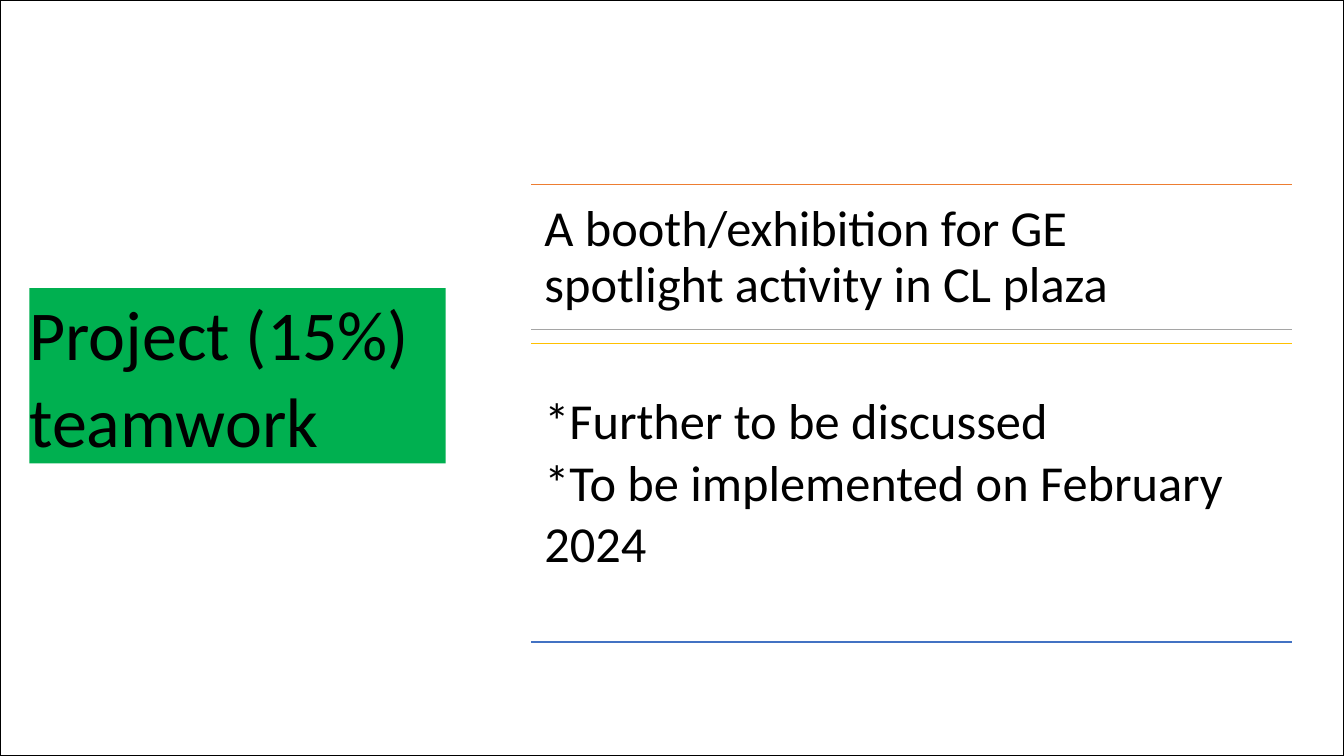
"""Build the project teamwork slide."""
from lxml import etree
from pptx import Presentation
from pptx.dml.color import RGBColor
from pptx.enum.shapes import MSO_CONNECTOR, MSO_SHAPE
from pptx.enum.text import MSO_ANCHOR, PP_ALIGN
from pptx.oxml.ns import qn
from pptx.util import Cm, Pt

STRAIGHT = MSO_CONNECTOR.STRAIGHT
RECTANGLE = MSO_SHAPE.RECTANGLE
TOP = MSO_ANCHOR.TOP
LEFT = PP_ALIGN.LEFT

BLACK = RGBColor(0x00, 0x00, 0x00)
GREEN = RGBColor(0x00, 0xB0, 0x50)
ORANGE = RGBColor(0xED, 0x7D, 0x31)
GRAY = RGBColor(0xA5, 0xA5, 0xA5)
GOLD = RGBColor(0xFF, 0xC0, 0x00)
BLUE = RGBColor(0x43, 0x72, 0xC3)

PAGE_WIDTH, PAGE_HEIGHT = Cm(33.87), Cm(19.05)
TEXT_INDENT = Cm(0.33)


def apply_format(target, values):
    """Set each named attribute on the target."""
    for name, value in values.items():
        setattr(target, name, value)


def write_text(box, lines, size, inset, gap, spacing=None):
    """Write left-aligned paragraphs from the top of a box."""
    frame = box.text_frame
    apply_format(frame, {
        "word_wrap": True, "vertical_anchor": TOP, "margin_left": 0,
        "margin_right": 0, "margin_top": inset, "margin_bottom": 0,
    })
    for index, line in enumerate(lines):
        para = frame.add_paragraph() if index else frame.paragraphs[0]
        span = para.add_run()
        span.text = line
        apply_format(para, {
            "alignment": LEFT, "line_spacing": spacing,
            "space_before": gap if index else Pt(0),
        })
        apply_format(span.font, {"name": "Calibri", "size": size})
        span.font.color.rgb = BLACK


def add_rule(page, left, top, width, color):
    """Draw a thin horizontal line without a shadow."""
    rule = page.shapes.add_connector(STRAIGHT, left, top, left + width, top)
    rule.line.color.rgb = color
    rule.line.width = Pt(1)
    etree.SubElement(rule._element.spPr, qn("a:effectLst"))


def add_label(page, left, top, width, height):
    """Place the green project label."""
    label = page.shapes.add_shape(RECTANGLE, left, top, width, height)
    label.shadow.inherit = False
    label.fill.solid()
    label.fill.fore_color.rgb = GREEN
    label.line.fill.background()
    write_text(label, ["Project (15%)", "teamwork"],
               Pt(50), Cm(0.28), Pt(7.8), Pt(54))


def add_activity(page, left, top, width, height):
    """Place the activity heading between two lines."""
    add_rule(page, left, top, width, ORANGE)
    heading = page.shapes.add_textbox(
        left + TEXT_INDENT, top + Cm(0.23), width - Cm(2.52), Cm(3.02))
    write_text(heading, ["A booth/exhibition for GE spotlight activity in CL plaza"],
               Pt(36), Cm(0.18), Pt(5), Pt(40))
    add_rule(page, left, top + height, width, GRAY)


def add_details(page, left, top, width, height):
    """Place the details between two lines."""
    add_rule(page, left, top, width, GOLD)
    add_rule(page, left, top + height, width, BLUE)
    details = page.shapes.add_textbox(
        left + TEXT_INDENT, top + Cm(1.12), width - TEXT_INDENT, Cm(4.7))
    write_text(details,
               ["*Further to be discussed", "*To be implemented on February 2024"],
               Pt(36), Cm(0.03), Pt(1))


def add_border(page, left, top, width, height):
    """Outline the page."""
    border = page.shapes.add_shape(RECTANGLE, left, top, width, height)
    border.shadow.inherit = False
    border.fill.background()
    border.line.color.rgb = BLACK
    border.line.width = Pt(1)


def main():
    """Build and save the deck."""
    deck = Presentation()
    apply_format(deck, {"slide_width": PAGE_WIDTH, "slide_height": PAGE_HEIGHT})
    page = deck.slides.add_slide(deck.slide_layouts[6])
    add_label(page, Cm(0.74), Cm(7.26), Cm(10.49), Cm(4.42))
    add_activity(page, Cm(13.39), Cm(4.65), Cm(19.18), Cm(3.66))
    add_details(page, Cm(13.39), Cm(8.66), Cm(19.18), Cm(7.52))
    add_border(page, 0, 0, PAGE_WIDTH, PAGE_HEIGHT)
    deck.save("out.pptx")


if __name__ == "__main__":
    main()
